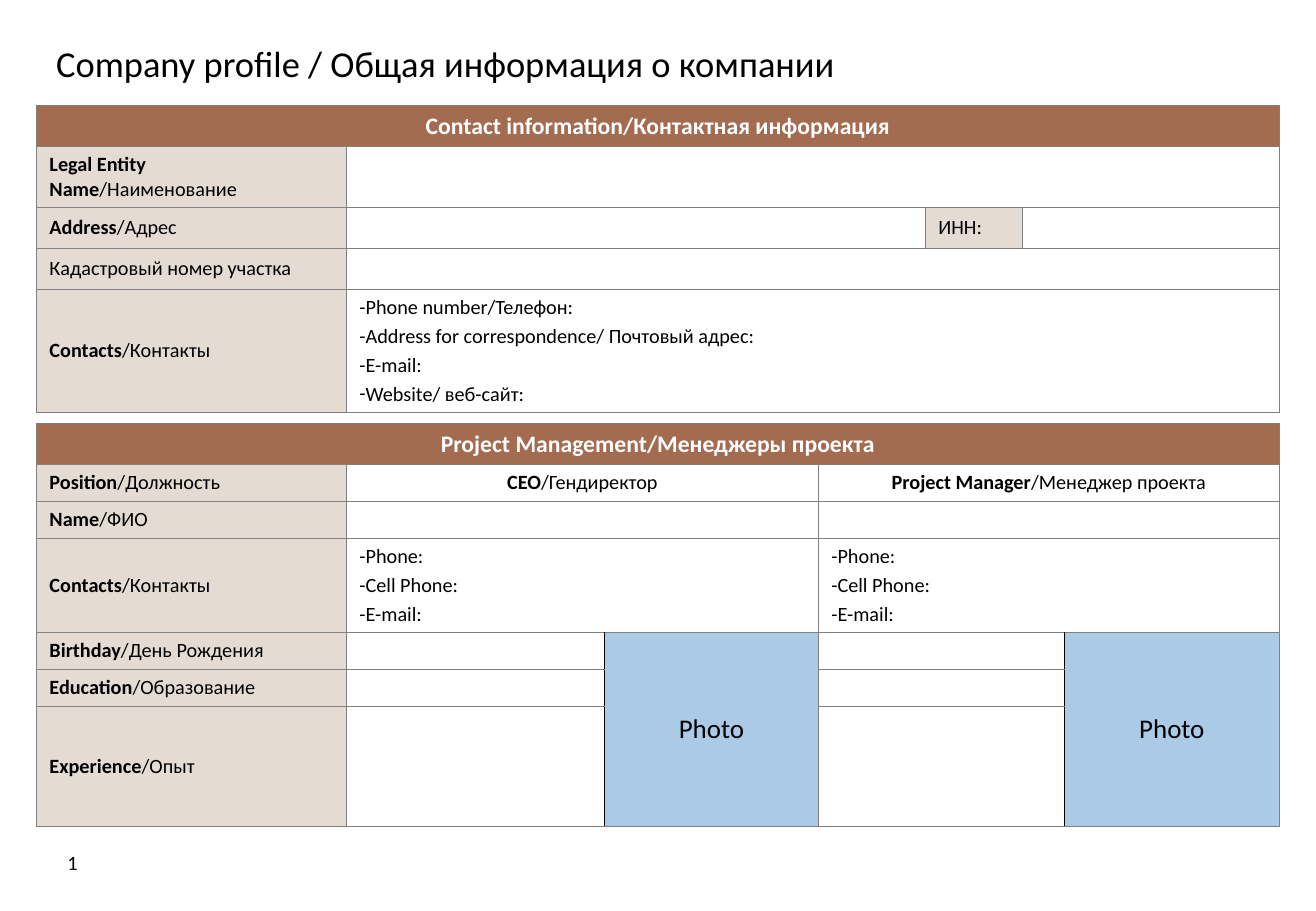
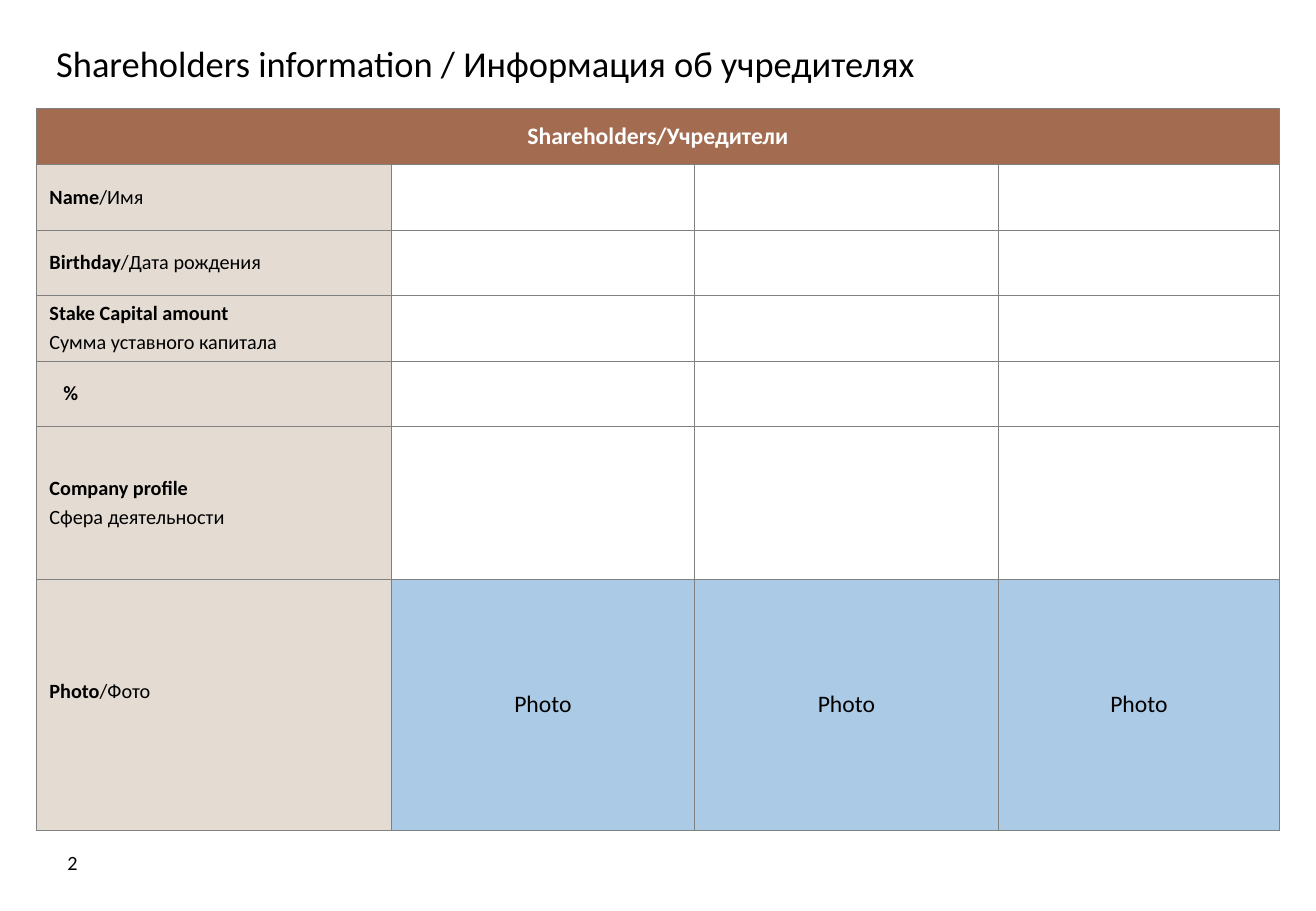
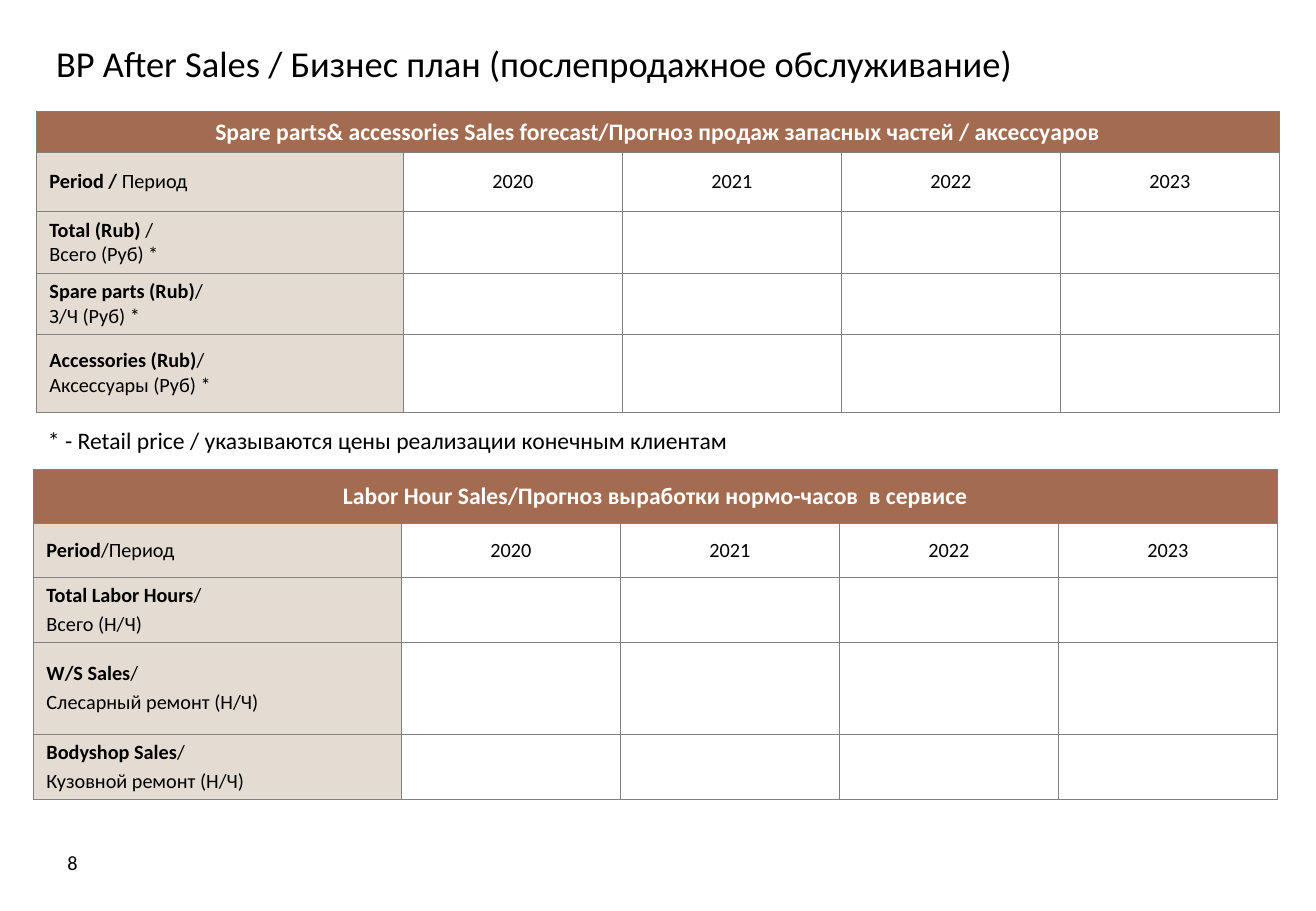
"""Build three dealer questionnaire slides: profile, shareholders, after-sales plan."""
from itertools import pairwise

from lxml import etree
from pptx import Presentation
from pptx import util as u
from pptx.dml.color import RGBColor
from pptx.enum import text as t
from pptx.oxml.ns import qn

SCALE = 914400 / 121.5
FONT = "Calibri"
BLACK, WHITE, GRID = "000000", "FFFFFF", "808080"
BAND, LABEL, PHOTO = "A36B4F", "E4DCD3", "AACAE6"
LINE_GAP = 2.4
PIXEL_CENTER = 0.5
YEARS = ["2020", "2021", "2022", "2023"]
LEFT, CENTER = t.PP_ALIGN.LEFT, t.PP_ALIGN.CENTER


def px(length):
    """Turn picture pixels into EMU."""
    return u.Emu(round(length * SCALE))


def rgb(color):
    """Turn a hex string into a colour."""
    return RGBColor.from_string(color)


def put_text(frame, content, size=12, color=BLACK, bold=False, align=LEFT, gap=0, dash=False):
    """Write lines of text; the part of a line before a bar is bold."""
    for index, line in enumerate(content.split("\n")):
        paragraph = frame.paragraphs[0] if index == 0 else frame.add_paragraph()
        paragraph.alignment = align
        paragraph.space_before = u.Pt(gap)
        if dash:
            properties = paragraph._p.get_or_add_pPr()
            etree.SubElement(properties, qn("a:buFont"), typeface=FONT)
            etree.SubElement(properties, qn("a:buChar"), char="-")
        strong, _, plain = line.rpartition("|")
        for part, is_bold in ((strong, True), (plain, bold)):
            if part:
                run = paragraph.add_run()
                run.text = part
                run.font.name = FONT
                run.font.size = u.Pt(size)
                run.font.bold = is_bold
                run.font.color.rgb = rgb(color)


def set_border(cell, side, color=GRID, width=0.75):
    """Draw one side (L, R, T or B) of a cell."""
    properties = cell._tc.get_or_add_tcPr()
    tag = qn(f"a:ln{side}")
    line = properties.find(tag)
    if line is None:
        line = etree.SubElement(properties, tag)
    else:
        line.clear()
    line.set("w", str(u.Pt(width)))
    fill = etree.SubElement(line, qn("a:solidFill"))
    etree.SubElement(fill, qn("a:srgbClr"), val=color)


def fill_cell(cell, color):
    """Give a cell a plain fill."""
    cell.fill.solid()
    cell.fill.fore_color.rgb = rgb(color)


def prepare_cell(cell):
    """Give a cell its grid lines, margins and empty-line size."""
    for side in "LRTB":
        set_border(cell, side)
    cell.fill.background()
    cell.margin_left = cell.margin_right = px(13)
    cell.vertical_anchor = t.MSO_ANCHOR.MIDDLE
    cell.text_frame.paragraphs[0]._p.get_or_add_endParaRPr().set("sz", "1200")


def add_form(slide, columns, rows, heading, labels, gap=LINE_GAP):
    """Add a table from its edges, with a heading band and a label column."""
    frame = slide.shapes.add_table(
        len(rows) - 1, len(columns) - 1,
        px(columns[0] + PIXEL_CENTER), px(rows[0] + PIXEL_CENTER),
        px(columns[-1] - columns[0]), px(rows[-1] - rows[0]))
    table = frame.table
    table.first_row = table.horz_banding = False
    for column, (start, end) in zip(table.columns, pairwise(columns)):
        column.width = px(end - start)
    for row, (start, end) in zip(table.rows, pairwise(rows)):
        row.height = px(end - start)
    for cell in table.iter_cells():
        prepare_cell(cell)

    band = table.cell(0, 0)
    band.merge(table.cell(0, len(columns) - 2))
    fill_cell(band, BAND)
    put_text(band.text_frame, heading, size=14, color=WHITE, bold=True, align=CENTER)
    for row, label in enumerate(labels, 1):
        fill_cell(table.cell(row, 0), LABEL)
        put_text(table.cell(row, 0).text_frame, label, gap=gap)
    return table


def merge_row(table, row, first, last):
    """Join the cells of one row and return the joined cell."""
    cell = table.cell(row, first)
    cell.merge(table.cell(row, last))
    return cell


def add_photo(cell, size):
    """Mark a cell as the place for a photo."""
    fill_cell(cell, PHOTO)
    put_text(cell.text_frame, "Photo", size=size, align=CENTER)


def add_page(deck, title, number):
    """Add a slide with its title and page number."""
    slide = deck.slides.add_slide(deck.slide_layouts[5])
    heading = slide.shapes.title
    heading.left, heading.top, heading.width, heading.height = map(px, (44, 35, 1216, 55))
    heading.text_frame.vertical_anchor = t.MSO_ANCHOR.MIDDLE
    heading.text_frame.auto_size = t.MSO_AUTO_SIZE.NONE
    put_text(heading.text_frame, title, size=21.6)
    page = slide.shapes.add_textbox(*map(px, (36, 838, 73, 49))).text_frame
    page.word_wrap = True
    page.vertical_anchor = t.MSO_ANCHOR.MIDDLE
    put_text(page, str(number), align=CENTER)
    return slide


def add_contact_form(slide):
    """Add the company's contact table."""
    form = add_form(
        slide, [36, 346, 925, 1022, 1279], [105, 146, 207, 248, 289, 412],
        "Contact information/Контактная информация",
        ["Legal Entity Name|/Наименование", "Address|/Адрес",
         "Кадастровый номер участка", "Contacts|/Контакты"])
    for row in (1, 3, 4):
        merge_row(form, row, 1, 3)
    tax_number = form.cell(2, 2)
    fill_cell(tax_number, LABEL)
    put_text(tax_number.text_frame, "ИНН:")
    put_text(form.cell(4, 1).text_frame,
             "Phone number/Телефон:\nAddress for correspondence/ Почтовый адрес:\n"
             "E-mail:\nWebsite/ веб-сайт:", gap=LINE_GAP, dash=True)


def add_manager_form(slide):
    """Add the table of the two project managers."""
    form = add_form(
        slide, [36, 346, 604, 818, 1064, 1279], [423, 464, 501, 538, 632, 669, 706, 826],
        "Project Management/Менеджеры проекта",
        ["Position|/Должность", "Name|/ФИО", "Contacts|/Контакты",
         "Birthday|/День Рождения", "Education|/Образование", "Experience|/Опыт"])
    for first, position in ((1, "CEO|/Гендиректор"), (3, "Project Manager|/Менеджер проекта")):
        photo = first + 1
        job, _, contacts = [merge_row(form, row, first, photo) for row in (1, 2, 3)]
        put_text(job.text_frame, position, align=CENTER)
        put_text(contacts.text_frame, "Phone:\nCell Phone:\nE-mail:", gap=LINE_GAP, dash=True)
        for row in (4, 5, 6):
            set_border(form.cell(row, first), "R", BLACK, 1)
            set_border(form.cell(row, photo), "L", BLACK, 1)
        form.cell(4, photo).merge(form.cell(6, photo))
        add_photo(form.cell(4, photo), size=16)


def add_shareholder_form(slide):
    """Add the table of three shareholders."""
    form = add_form(
        slide, [36, 391, 694, 998, 1279], [108, 164, 230, 295, 361, 426, 579, 830],
        "Shareholders/Учредители",
        ["Name|/Имя", "Birthday|/Дата рождения",
         "Stake Capital amount|\nСумма уставного капитала", "%|",
         "Company profile|\nСфера деятельности", "Photo|/Фото"])
    form.cell(4, 0).margin_left = px(27)
    form.cell(6, 0).margin_bottom = px(32)
    for column in (1, 2, 3):
        add_photo(form.cell(6, column), size=14)


def add_forecast(slide, columns, rows, heading, labels, gap):
    """Add a table with one column for each year."""
    form = add_form(slide, columns, rows, heading, labels, gap)
    for column, year in enumerate(YEARS, 1):
        put_text(form.cell(1, column).text_frame, year, align=CENTER)


def main():
    """Build and save the deck."""
    deck = Presentation()
    deck.slide_width, deck.slide_height = px(1316), px(911)

    profile = add_page(deck, "Company profile / Общая информация о компании", 1)
    add_contact_form(profile)
    add_manager_form(profile)

    shareholders = add_page(deck, "Shareholders information / Информация об учредителях", 2)
    add_shareholder_form(shareholders)

    after_sales = add_page(
        deck, "BP After Sales / Бизнес план (послепродажное обслуживание)", 8)
    add_forecast(
        after_sales, [36, 403, 622, 841, 1060, 1279], [111, 152, 211, 273, 334, 412],
        "Spare parts& accessories Sales forecast/Прогноз продаж запасных частей / аксессуаров",
        ["Period / |Период", "Total (Rub) |/\nВсего (Руб) *",
         "Spare parts (Rub)|/\nЗ/Ч (Руб) *", "Accessories (Rub)|/\nАксессуары (Руб) *"], gap=0)
    note = after_sales.shapes.add_textbox(*map(px, (36, 420, 720, 41))).text_frame
    note.word_wrap = True
    put_text(note, "* - Retail price / указываются цены реализации конечным клиентам", size=14)
    add_forecast(
        after_sales, [33, 401, 620, 839, 1058, 1277], [469, 523, 577, 641, 733, 798],
        "Labor Hour Sales/Прогноз выработки нормо-часов  в сервисе",
        ["Period|/Период", "Total Labor Hours|/\nВсего (Н/Ч)",
         "W/S Sales|/\nСлесарный ремонт (Н/Ч)", "Bodyshop Sales|/\nКузовной ремонт (Н/Ч)"],
        gap=LINE_GAP)

    deck.save("out.pptx")


main()
